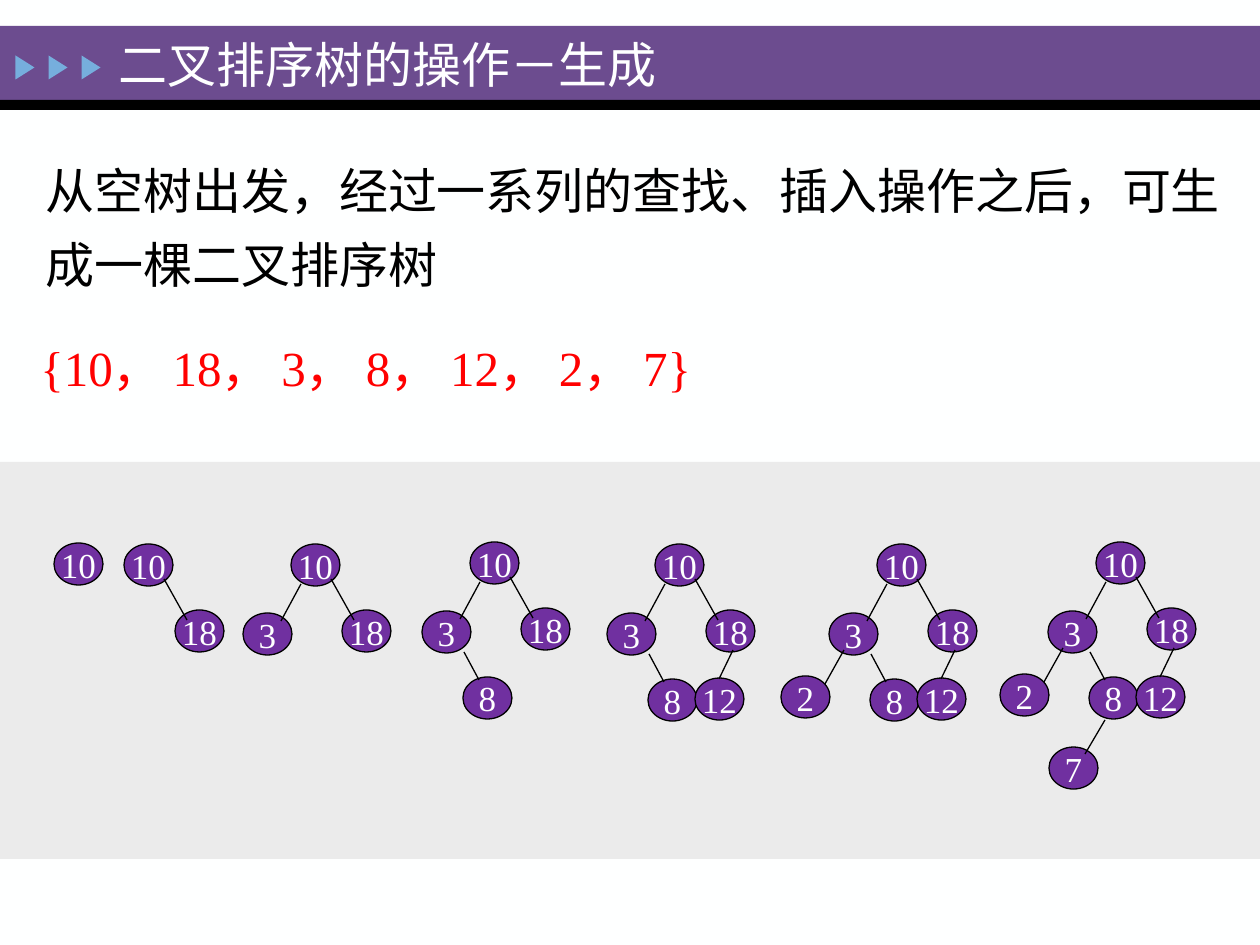
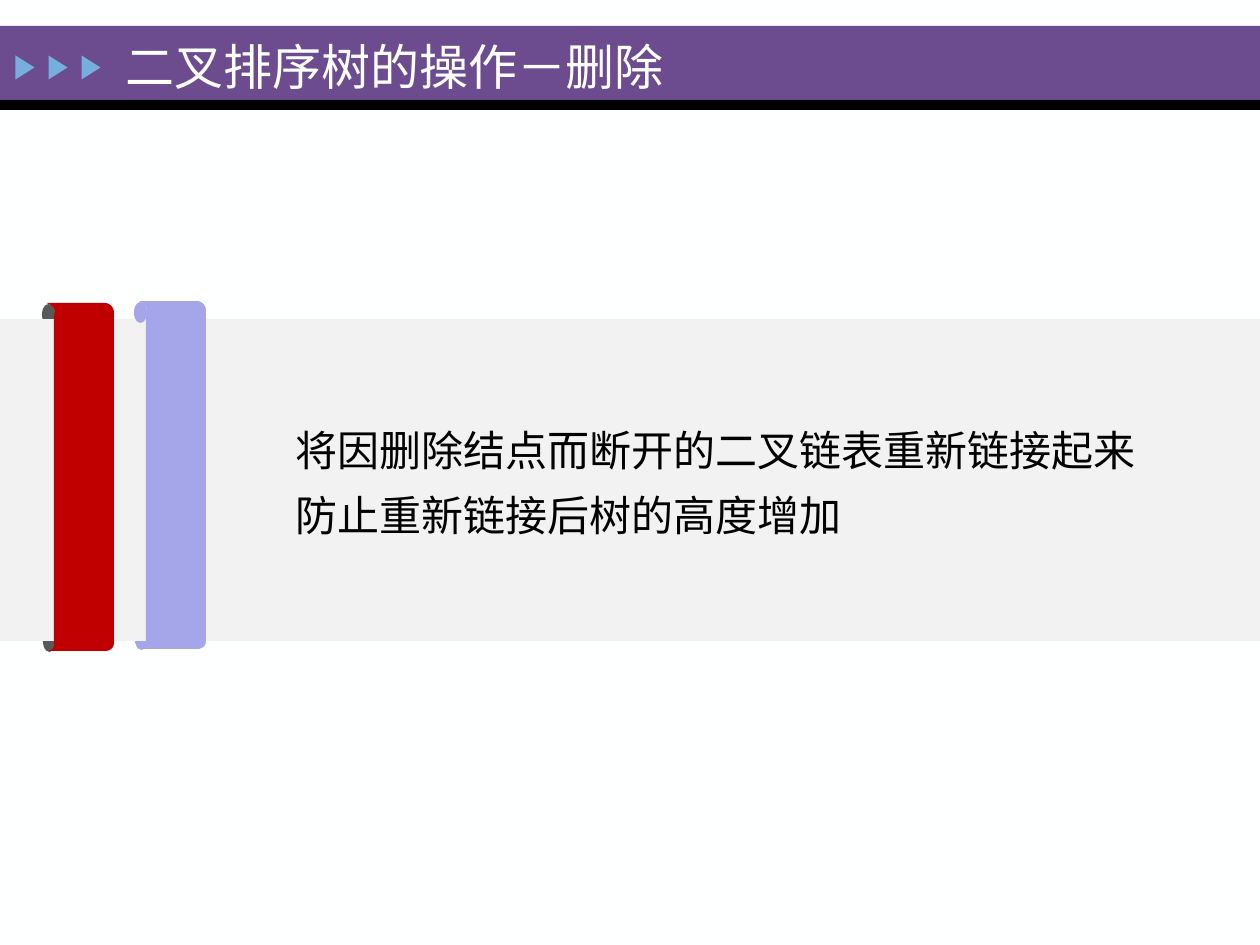
from dataclasses import dataclass

from lxml.etree import SubElement
from pptx import Presentation
from pptx.dml.color import RGBColor
from pptx.enum.shapes import MSO_CONNECTOR as CONN, MSO_SHAPE as SHAPE
from pptx.enum.text import MSO_ANCHOR as ANCHOR, MSO_AUTO_SIZE as AUTO, PP_ALIGN as ALIGN
from pptx.oxml.ns import qn
from pptx.util import Pt

EMU_PER_PX = 914400 / 126
SLIDE_W, SLIDE_H = 1260, 945


@dataclass(frozen=True)
class Theme:
    font: str = "Times New Roman"
    title_pt: int = 28
    lead_pt: int = 28
    body_pt: int = 24
    node_pt: int = 20
    line_pt: float = 0.75
    page: str = "FEFFFF"
    band: str = "6C4C8F"
    ink: str = "000000"
    marker: str = "76AEDD"
    tree_panel: str = "EBEBEB"
    node: str = "7030A0"
    keys: str = "FF0000"
    note_panel: str = "F2F2F2"
    red: str = "C00000"
    red_curl: str = "595959"
    lilac: str = "A5A5E9"


T = Theme()

# Keys in insertion order: node offset from the root, then the edge from its parent
NODE_W, NODE_H = 49, 42
TREE = {
    10: ((0, 0), None),
    18: ((51, 66), (40, 35, 63, 76)),
    3: ((-48, 69), (10, 40, -10, 77)),
    8: ((-7, 135), (-6, 110, 9, 138)),
    12: ((40, 134), (78, 106, 64, 135)),
    2: ((-96, 132), (-33, 106, -52, 140)),
    7: ((-47, 205), (9, 178, -11, 212)),
}
ROOTS = [(54, 543), (124, 544), (291, 544), (470, 542),
         (655, 544), (877, 544), (1096, 542)]


def px(*values):
    return [round(v * EMU_PER_PX) for v in values]


def rgb(color):
    return RGBColor.from_string(color)


def paint(sp, fill, line=None):
    sp.shadow.inherit = False
    sp.fill.solid()
    sp.fill.fore_color.rgb = rgb(fill)
    if line:
        sp.line.color.rgb = rgb(line)
        sp.line.width = Pt(T.line_pt)
    else:
        sp.line.fill.background()


def add_shape(shapes, kind, box, fill, line=None):
    sp = shapes.add_shape(kind, *px(*box))
    paint(sp, fill, line)
    return sp


def style_run(p, size, color):
    for r in p.runs:
        r.font.name = T.font
        r.font.size = Pt(size)
        r.font.color.rgb = rgb(color)


def fill_placeholder(slide, sp, box, lines, size, color,
                     anchor=ANCHOR.TOP, spacing=1.0, indent=0):
    """Place a placeholder above the drawn parts and format its plain paragraphs."""
    slide.shapes._spTree.append(sp._element)
    sp.left, sp.top, sp.width, sp.height = px(*box)
    tf = sp.text_frame
    tf.word_wrap, tf.auto_size, tf.vertical_anchor = True, AUTO.NONE, anchor
    tf.text = "\n".join(lines)
    for p in tf.paragraphs:
        pPr = p._p.get_or_add_pPr()
        pPr.set("marL", "0")
        pPr.set("indent", str(px(indent)[0]))
        SubElement(pPr, qn("a:buNone"))
        p.alignment = ALIGN.LEFT
        p.line_spacing = spacing
        p.space_before = Pt(0)
        style_run(p, size, color)


def add_title(slide, x, y, w, text):
    fill_placeholder(slide, slide.shapes.title, (x, y, w, 71), [text],
                     T.title_pt, T.page, ANCHOR.MIDDLE)


def build_master(prs, slide):
    """Draw the header band once and hand it to the master."""
    master = prs.slide_master
    master.background.fill.solid()
    master.background.fill.fore_color.rgb = rgb(T.page)
    parts = [
        add_shape(slide.shapes, SHAPE.RECTANGLE, (0, 26, SLIDE_W, 75), T.band),
        add_shape(slide.shapes, SHAPE.RECTANGLE, (0, 100, SLIDE_W, 10), T.ink),
    ]
    for i in range(3):
        marker = add_shape(slide.shapes, SHAPE.ISOSCELES_TRIANGLE,
                           (13 + 33 * i, 58, 24, 19), T.marker)
        marker.rotation = 90
        parts.append(marker)
    for i, sp in enumerate(parts):
        sp._element.nvSpPr.cNvPr.set("id", str(100 + i))
        master.shapes._spTree.insert(2 + i, sp._element)


def add_edge(shapes, x, y, edge):
    x1, y1, x2, y2 = edge
    line = shapes.add_connector(CONN.STRAIGHT, *px(x + x1, y + y1, x + x2, y + y2))
    line.line.color.rgb = rgb(T.ink)
    line.line.width = Pt(T.line_pt)
    SubElement(line._element.spPr, qn("a:effectLst"))


def add_node(shapes, x, y, key):
    sp = add_shape(shapes, SHAPE.OVAL, (x, y, NODE_W, NODE_H), T.node, T.ink)
    tf = sp.text_frame
    tf.word_wrap, tf.vertical_anchor = False, ANCHOR.MIDDLE
    tf.margin_left = tf.margin_right = tf.margin_top = tf.margin_bottom = 0
    tf.text = str(key)
    tf.paragraphs[0].alignment = ALIGN.CENTER
    style_run(tf.paragraphs[0], T.node_pt, T.page)


def add_tree(slide, x, y, count):
    """Draw the tree after its first count insertions, root at (x, y)."""
    shapes = slide.shapes.add_group_shape().shapes
    for key, ((dx, dy), edge) in list(TREE.items())[:count]:
        add_node(shapes, x + dx, y + dy, key)
        if edge:
            add_edge(shapes, x, y, edge)


def add_key_list(slide, x, y, w, h):
    tf = slide.shapes.add_textbox(*px(x, y, w, h)).text_frame
    tf.word_wrap, tf.vertical_anchor = True, ANCHOR.MIDDLE
    tf.text = "{" + "， ".join(map(str, TREE)) + "}"
    style_run(tf.paragraphs[0], T.lead_pt, T.keys)


def build_growth_slide(slide):
    add_shape(slide.shapes, SHAPE.RECTANGLE, (0, 462, SLIDE_W, 397), T.tree_panel)
    add_key_list(slide, 28, 331, 1024, 72)
    for count, (x, y) in enumerate(ROOTS, start=1):
        add_tree(slide, x, y, count)
    fill_placeholder(slide, slide.placeholders[1], (33, 140, 1218, 154),
                     ["从空树出发，经过一系列的查找、插入操作之后，可生成一棵二叉排序树"],
                     T.lead_pt, T.ink, spacing=1.25)
    add_title(slide, 106, 28, 743, "二叉排序树的操作－生成")


def bezier(p0, p1, p2, p3, steps=12):
    """Points along a cubic curve, without its start."""
    for i in range(1, steps + 1):
        t = i / steps
        u = 1 - t
        yield tuple(u**3 * a + 3 * u * u * t * b + 3 * u * t * t * c + t**3 * d
                    for a, b, c, d in zip(p0, p1, p2, p3))


def add_curl(slide, x, y, color):
    add_shape(slide.shapes, SHAPE.OVAL, (x, y, 13, 21), color)


def add_ribbon(slide, x, y, color):
    """Draw the 72 x 348 ribbon sheet with its curled corners."""
    outline = [
        *bezier((12, 13), (16, 0), (0, 0), (6, 0)),
        *bezier((63, 0), (68, 0), (72, 5), (72, 9)),
        *bezier((72, 340), (72, 345), (68, 348), (63, 348)),
        *bezier((8, 348), (3, 348), (14, 348), (12, 340)),
    ]
    # Each curve omits its start, so the straight runs need these corners
    for at, corner in ((36, (8, 348)), (24, (72, 340)), (12, (63, 0))):
        outline.insert(at, corner)
    points = [px(x + dx, y + dy) for dx, dy in outline]
    builder = slide.shapes.build_freeform(*px(x + 12, y + 13))
    builder.add_line_segments(points, close=True)
    paint(builder.convert_to_shape(), color)


def build_removal_slide(slide):
    red_x, red_y, lilac_x, lilac_y = 42, 303, 134, 301
    add_title(slide, 113, 30, 882, "二叉排序树的操作－删除")
    # Curls behind the panel
    add_curl(slide, lilac_x + 1, lilac_y + 328, T.lilac)
    add_curl(slide, red_x + 1, red_y + 328, T.red_curl)
    add_curl(slide, red_x, red_y + 1, T.red_curl)
    add_shape(slide.shapes, SHAPE.RECTANGLE, (0, 319, SLIDE_W, 322), T.note_panel)
    # Sheets in front of it
    add_ribbon(slide, red_x, red_y, T.red)
    add_curl(slide, lilac_x, lilac_y + 1, T.lilac)
    add_ribbon(slide, lilac_x, lilac_y, T.lilac)
    fill_placeholder(slide, slide.placeholders[1], (209, 403, 990, 146),
                     ["将因删除结点而断开的二叉链表重新链接起来",
                      "防止重新链接后树的高度增加"],
                     T.body_pt, T.ink, spacing=1.3, indent=74)


def main():
    prs = Presentation()
    prs.slide_width, prs.slide_height = px(SLIDE_W, SLIDE_H)
    layout = prs.slide_layouts[1]
    growth, removal = (prs.slides.add_slide(layout) for _ in range(2))
    build_master(prs, growth)
    build_growth_slide(growth)
    build_removal_slide(removal)
    prs.save("out.pptx")


if __name__ == "__main__":
    main()
